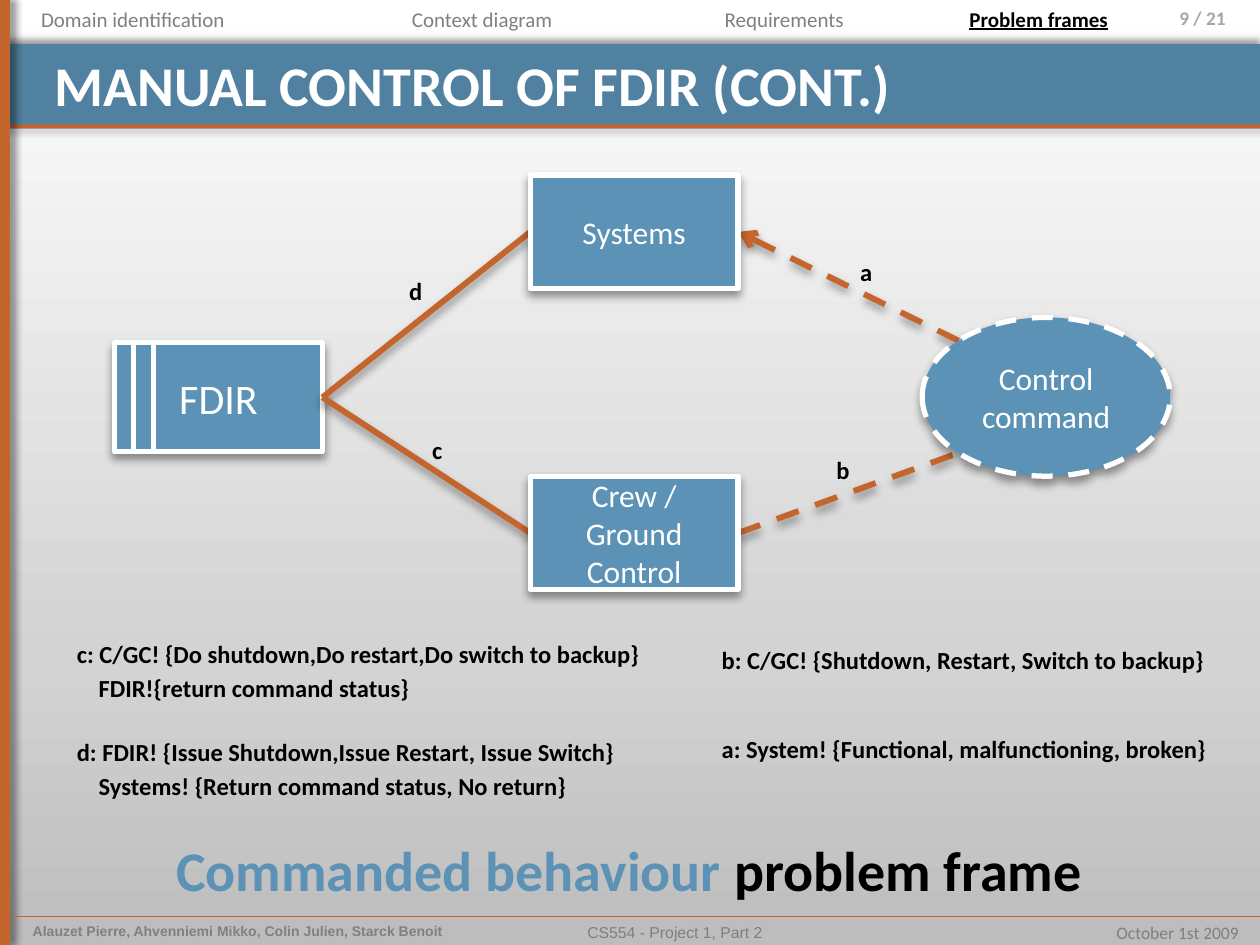
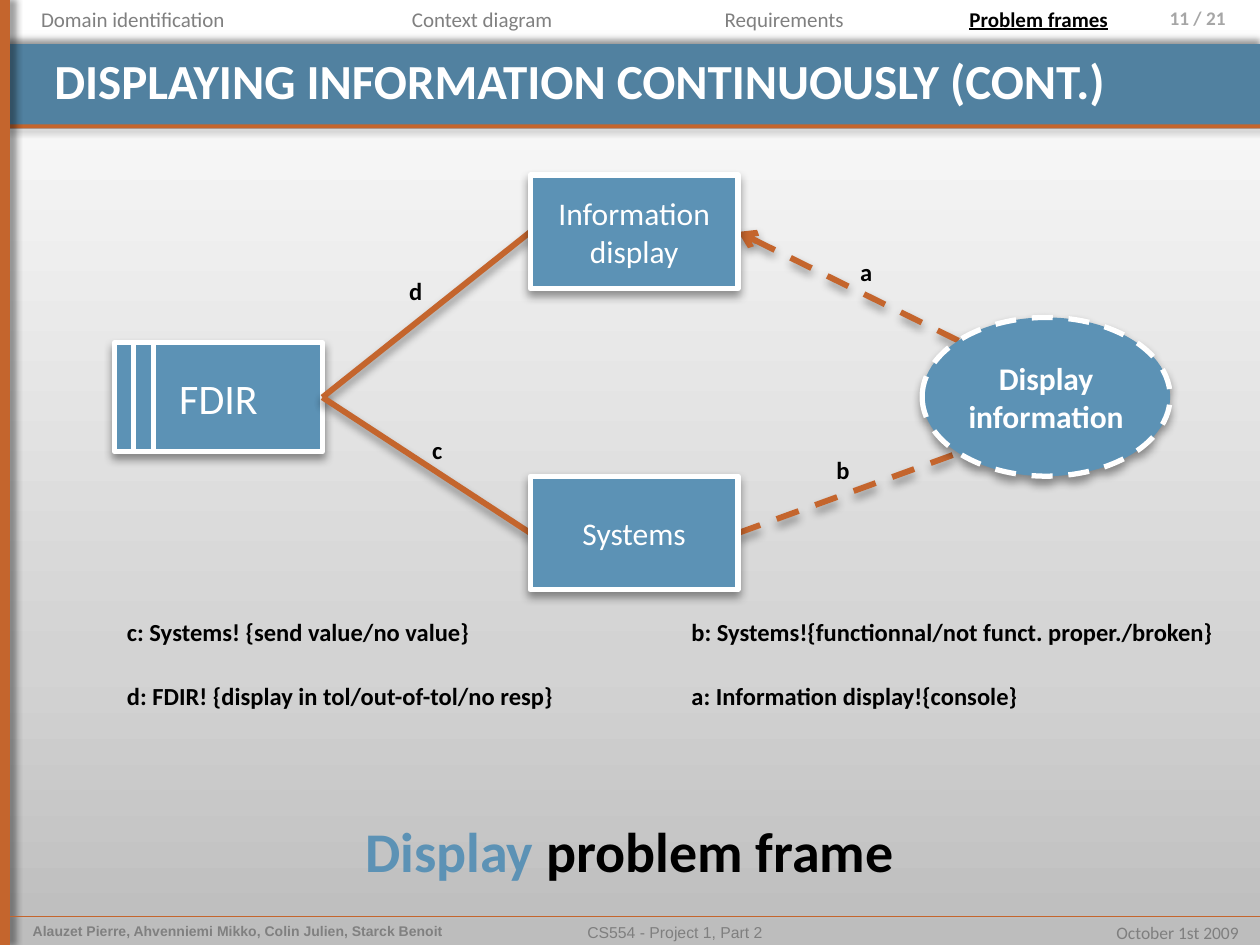
import math

import pptx
import pptx.dml.color
import pptx.enum.dml
import pptx.enum.shapes
import pptx.enum.text
import pptx.oxml.ns
import pptx.util
from copy import deepcopy
from lxml import etree

Cm = pptx.util.Cm
Pt = pptx.util.Pt
qn = pptx.oxml.ns.qn
ALIGN = pptx.enum.text.PP_ALIGN
ANCHOR = pptx.enum.text.MSO_ANCHOR
SHAPE = pptx.enum.shapes.MSO_SHAPE
DASH = pptx.enum.dml.MSO_LINE.DASH

WIDTH, HEIGHT = 25.4, 19.05
ORANGE, BAND_BLUE, BLUE = "C4652D", "5181A0", "5C92B5"
WHITE, BLACK, GRAY, FOOTER_GRAY, PAGE_GRAY = "FFFFFF", "000000", "808080", "7F7F7F", "A6A6A6"
BACKGROUND = [(0, "BDBDBD"), (0.3, "D3D3D3"), (1, WHITE)]
BAND_BOX = (0, 0.89, WIDTH, 1.7)
TITLE_BOX = (0.84, 0.89, 23.57, 1.47)
DIAGRAM_BOX = (2.31, 3.53)
FOOTER_TOP = 18.47
DIAGRAM_SHADOW = {"blur": 5.2, "direction": 90}

NAVIGATION = [
    ("Domain identification", 0, 5.36),
    ("Context diagram", 6.15, 7.14),
    ("Requirements", 13.13, 5.36),
    ("Problem frames", 18.26, 5.36),
]
CURRENT_SECTION = "Problem frames"
LABELS = [("a", 14.78, 1.52), ("b", 14.3, 5.51), ("c", 6.15, 5.11), ("d", 5.69, 1.91)]

SLIDES = [
    {
        "title": "MANUAL CONTROL OF FDIR (CONT.)",
        "title_size": 32,
        "page": "9 / 21",
        "top": "Systems",
        "bottom": "Crew / Ground Control",
        "goal": "Control command",
        "goal_bold": False,
        "legend": [
            (1.3, 12.75, 11.96, ["c: C/GC! {Do shutdown,Do restart,Do switch to backup}",
                                 "FDIR!{return command status}"]),
            (1.3, 14.73, 11.46, ["d: FDIR! {Issue Shutdown,Issue Restart, Issue Switch}",
                                 "Systems! {Return command status, No return}"]),
            (14.3, 12.88, 10.44, ["b: C/GC! {Shutdown, Restart, Switch to backup}"]),
            (14.3, 14.68, 10.49, ["a: System! {Functional, malfunctioning, broken}"]),
        ],
        "frame": "Commanded behaviour ",
        "frame_box": (3.3, 16.71, 18.97, 1.63),
    },
    {
        "title": "DISPLAYING INFORMATION CONTINUOUSLY (CONT.)",
        "title_size": 28,
        "page": "11 / 21",
        "top": "Information display",
        "bottom": "Systems",
        "goal": "Display information",
        "goal_bold": True,
        "legend": [
            (2.31, 12.32, 7.49, ["c: Systems! {send value/no value}"]),
            (2.31, 13.61, 9.22, ["d: FDIR! {display in tol/out-of-tol/no resp}"]),
            (13.69, 12.32, 11.3, ["b: Systems!{functionnal/not funct. proper./broken}"]),
            (13.69, 13.61, 7.26, ["a: Information display!{console}"]),
        ],
        "frame": "Display ",
        "frame_box": (7.11, 16.33, 11.58, 1.63),
    },
]


def rgb(value):
    """Turn a hex string into a colour."""
    return pptx.dml.color.RGBColor.from_string(value)


def lengths(box):
    """Turn centimetre values into lengths."""
    return [Cm(value) for value in box]


def set_shadow(shape, blur=4, direction=90):
    """Give a shape or connector a soft black shadow."""
    properties = shape.element.spPr
    effects = properties.find(qn("a:effectLst"))
    if effects is None:
        effects = etree.SubElement(properties, qn("a:effectLst"))
    shadow = etree.SubElement(
        effects, qn("a:outerShdw"), blurRad=str(Pt(blur)), dist=str(Pt(3)),
        dir=str(direction * 60000), rotWithShape="0")
    color = etree.SubElement(shadow, qn("a:srgbClr"), val=BLACK)
    etree.SubElement(color, qn("a:alpha"), val="40000")


def write(shape, lines, size, color, align=ALIGN.LEFT, **font_values):
    """Write lines, each a string or a list of (text, colour) runs."""
    frame = shape.text_frame
    for index, line in enumerate(lines):
        paragraph = frame.paragraphs[0] if index == 0 else frame.add_paragraph()
        paragraph.alignment = align
        if index:
            paragraph.space_before = Pt(2.8)
            paragraph._p.get_or_add_pPr().set("marL", str(Cm(0.44)))
        for text, run_color in [(line, color)] if isinstance(line, str) else line:
            run = paragraph.add_run()
            run.text = text
            values = {"name": "Calibri", "size": Pt(size), "bold": False, **font_values}
            for name, value in values.items():
                setattr(run.font, name, value)
            run.font.color.rgb = rgb(run_color)


def add_text(slide, box, lines, size, color=BLACK, wrap=False, **options):
    """Add a text box."""
    shape = slide.shapes.add_textbox(*lengths(box))
    shape.text_frame.word_wrap = wrap
    write(shape, lines, size, color, **options)
    return shape


def add_block(slide, box, color, kind=SHAPE.RECTANGLE, outlined=False, **shadow):
    """Add a filled shape with a shadow and an optional white outline."""
    shape = slide.shapes.add_shape(kind, *lengths(box))
    shape.shadow.inherit = False
    shape.fill.solid()
    shape.fill.fore_color.rgb = rgb(color)
    if outlined:
        shape.line.color.rgb = rgb(WHITE)
        shape.line.width = Pt(3)
    else:
        shape.line.fill.background()
    set_shadow(shape, **shadow)
    return shape


def add_node(slide, box, text, size=18, kind=SHAPE.RECTANGLE, bold=False):
    """Add a labelled node of the diagram."""
    node = add_block(slide, box, BLUE, kind, True, **DIAGRAM_SHADOW)
    node.text_frame.word_wrap = True
    node.text_frame.vertical_anchor = ANCHOR.MIDDLE
    write(node, [text], size, WHITE, ALIGN.CENTER, bold=bold)
    return node


def add_line(slide, start, end, color, width, dashed=False, arrow=False, shadow=None):
    """Add a straight connector."""
    connector = slide.shapes.add_connector(
        pptx.enum.shapes.MSO_CONNECTOR.STRAIGHT, *lengths(start + end))
    connector.line.color.rgb = rgb(color)
    connector.line.width = Pt(width)
    if dashed:
        connector.line.dash_style = DASH
    if arrow:
        etree.SubElement(connector.line._get_or_add_ln(), qn("a:tailEnd"), type="arrow")
    if shadow:
        set_shadow(connector, **shadow)
    else:
        etree.SubElement(connector.element.spPr, qn("a:effectLst"))
    return connector


def add_background(slide):
    """Fill the slide with the vertical gray gradient."""
    fill = slide.background.fill
    fill.gradient()
    fill.gradient_angle = 90
    stop_list = next(slide.element.iter(qn("a:gsLst")))
    stop_list.append(deepcopy(stop_list[-1]))
    for stop, (position, color) in zip(fill.gradient_stops, BACKGROUND):
        stop.position = position
        stop.color.rgb = rgb(color)


def add_bands(slide):
    """Draw the title band, its rule and the side bar."""
    left, top, width, height = BAND_BOX
    add_block(slide, BAND_BOX, BAND_BLUE, direction=270)
    add_block(slide, (left, top + height - 0.08, width, 0.08), ORANGE, direction=45)
    add_block(slide, (0, 0, 0.2, HEIGHT), ORANGE, direction=0)


def add_header(slide, page):
    """Write the section names and the page number."""
    for section, left, width in NAVIGATION:
        current = section == CURRENT_SECTION
        add_text(slide, (left, 0, width, 0.76), [section], 12, BLACK if current else GRAY,
                 wrap=True, align=ALIGN.CENTER, bold=current, underline=current)
    number = add_text(slide, (22.43, 0, 2.97, 0.99), [page], 11, PAGE_GRAY,
                      wrap=True, align=ALIGN.RIGHT, bold=True)
    number.text_frame.margin_right = Cm(0.69)


def add_footer(slide, top):
    """Draw the footer rule with authors, course and date."""
    add_line(slide, (0.2, top), (WIDTH, top), ORANGE, 0.25, shadow={"direction": 45})
    add_text(slide, (0.41, top, 9.32, 0.58),
             ["Alauzet Pierre, Ahvenniemi Mikko, Colin Julien, Starck Benoit"],
             8, GRAY, wrap=True, name="Arial", bold=True)
    add_text(slide, (5.77, top, 15.67, 0.58), ["CS554 - Project 1, Part 2"],
             9, FOOTER_GRAY, wrap=True, align=ALIGN.CENTER, name="Arial")
    add_text(slide, (22.2, top, 3.02, 0.69), ["October 1st 2009"],
             10, FOOTER_GRAY, align=ALIGN.RIGHT)


def add_title(slide, text, size):
    """Place the title over its band."""
    title = slide.shapes.title
    slide.shapes.element.append(title.element)
    for name, value in zip(("left", "top", "width", "height"), lengths(TITLE_BOX)):
        setattr(title, name, value)
    frame_values = {"vertical_anchor": ANCHOR.TOP, "word_wrap": True,
                    "auto_size": pptx.enum.text.MSO_AUTO_SIZE.NONE}
    for name, value in frame_values.items():
        setattr(title.text_frame, name, value)
    write(title, [text], size, WHITE, bold=True)


def add_diagram(slide, box, content):
    """Draw the problem diagram from its top left corner."""
    left, top = box
    node_width, node_height = 4.19, 2.29
    machine_top, machine_height = top + 3.38, 2.2
    machine = add_node(slide, (left, machine_top, node_width, machine_height), "FDIR", 24)
    for offset in (0.38, 0.79):
        add_line(slide, (left + offset, machine_top),
                 (left + offset, machine_top + machine_height), WHITE, 3)

    upper, lower = [
        add_node(slide, (left + 8.38, top + offset, node_width, node_height), content[name])
        for name, offset in (("top", 0), ("bottom", 6.07))]
    goal_left, goal_top, goal_width, goal_height = left + 16.28, top + 2.87, 5, 3.2
    goal = add_node(slide, (goal_left, goal_top, goal_width, goal_height), content["goal"],
                    kind=SHAPE.OVAL, bold=content["goal_bold"])
    goal.line.dash_style = DASH
    goal.text_frame.margin_left = goal.text_frame.margin_right = 0

    diagonal = math.sqrt(0.5)
    for domain, side in ((upper, -1), (lower, 1)):
        interface = add_line(slide, (0, 0), (0, 0), ORANGE, 3.35, shadow=DIAGRAM_SHADOW)
        interface.begin_connect(machine, 3)
        interface.end_connect(domain, 1)
        goal_point = (goal_left + goal_width / 2 * (1 - diagonal),
                      goal_top + goal_height / 2 * (1 + side * diagonal))
        if domain is upper:
            reference = add_line(slide, goal_point, (0, 0), ORANGE, 3.35, True, True, DIAGRAM_SHADOW)
            reference.end_connect(domain, 3)
        else:
            reference = add_line(slide, (0, 0), goal_point, ORANGE, 3.35, True, False, DIAGRAM_SHADOW)
            reference.begin_connect(domain, 3)
    for node in (upper, lower, goal):
        slide.shapes.element.append(node.element)
    for label, x, y in LABELS:
        add_text(slide, (left + x, top + y, 0.86, 0.86), [label], 14, bold=True)


def add_legend(slide, entries):
    """Explain the lettered interfaces."""
    for left, top, width, lines in entries:
        add_text(slide, (left, top, width, 0.86 if len(lines) == 1 else 1.57),
                 lines, 14, bold=True)


def build_slide(presentation, content):
    """Build one problem frame slide."""
    slide = presentation.slides.add_slide(presentation.slide_layouts[5])
    add_background(slide)
    add_bands(slide)
    add_footer(slide, FOOTER_TOP)
    add_title(slide, content["title"], content["title_size"])
    add_diagram(slide, DIAGRAM_BOX, content)
    add_legend(slide, content["legend"])
    add_text(slide, content["frame_box"],
             [[(content["frame"], BLUE), ("problem frame", BLACK)]], 32, bold=True)
    add_header(slide, content["page"])


def main():
    """Build and save the presentation."""
    presentation = pptx.Presentation()
    presentation.slide_width, presentation.slide_height = lengths((WIDTH, HEIGHT))
    for content in SLIDES:
        build_slide(presentation, content)
    presentation.save("out.pptx")


if __name__ == "__main__":
    main()
